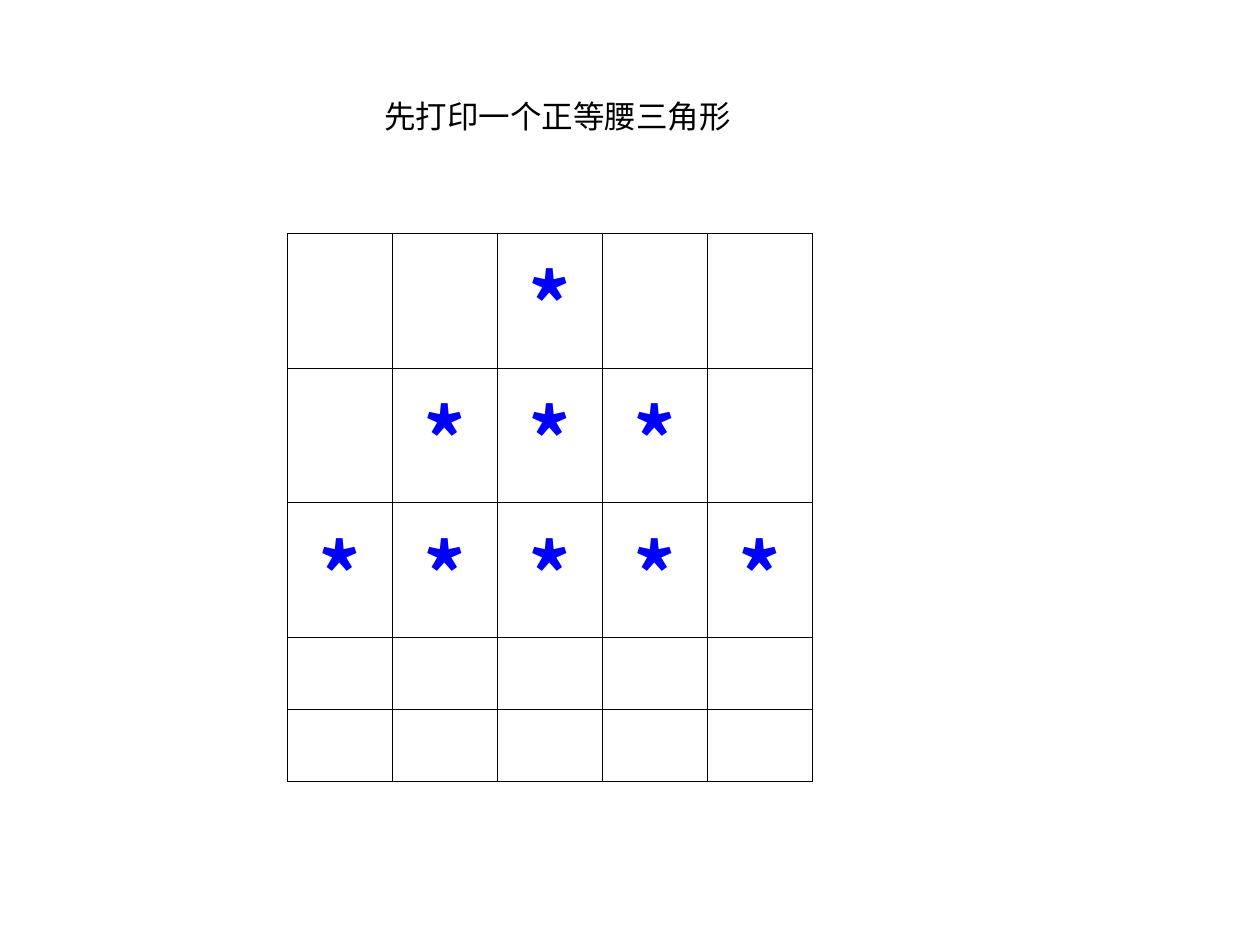
import pptx
import pptx.dml.color
import pptx.enum.text
import pptx.oxml
import pptx.oxml.ns
import pptx.util

COLORS = {"ink": "000000", "star": "0000FF", "rule": "080000"}
CJK = "Noto Sans CJK SC"
WIDE, HIGH = 10, 7.5
COLS = 5
STARS, BLANKS = 3, 2
ROWS = [1.07] * STARS + [0.57] * BLANKS
RULE = 0.45
ALIGN = pptx.enum.text.PP_ALIGN


def inch(size):
    return pptx.util.Inches(size)


def write(frame, text, size=18, color="ink", face="Arial", bold=False, align=ALIGN.LEFT):
    para = frame.paragraphs[0]
    para.alignment = align
    run = para.add_run()
    run.text = text
    font = run.font
    font.name, font.size, font.bold = face, pptx.util.Pt(size), bold
    font.color.rgb = pptx.dml.color.RGBColor.from_string(COLORS[color])
    east = pptx.oxml.parse_xml(
        f'<a:ea {pptx.oxml.ns.nsdecls("a")} typeface="{CJK}"/>')
    font._element.find(pptx.oxml.ns.qn("a:latin")).addnext(east)


def add_title(slide, text):
    title = slide.shapes.title
    title.left, title.top = inch(2.95), inch(0.72)
    title.width, title.height = inch(3), inch(0.4)
    frame = title.text_frame
    frame.word_wrap = False
    frame.auto_size = pptx.enum.text.MSO_AUTO_SIZE.NONE
    frame.vertical_anchor = pptx.enum.text.MSO_ANCHOR.TOP
    write(frame, text)


def rule_cell(cell):
    """Clear the fill and draw a thin line on all four sides."""
    cell.fill.background()
    props = cell._tc.get_or_add_tcPr()
    for at, side in enumerate(("lnL", "lnR", "lnT", "lnB")):
        props.insert(at, pptx.oxml.parse_xml(
            f'<a:{side} {pptx.oxml.ns.nsdecls("a")} w="{pptx.util.Pt(RULE)}">'
            f'<a:solidFill><a:srgbClr val="{COLORS["rule"]}"/></a:solidFill>'
            f'</a:{side}>'))


def add_grid(slide):
    """Draw the table, with a triangle of stars in its upper rows."""
    frame = slide.shapes.add_table(
        len(ROWS), COLS, inch(2.28), inch(1.85), inch(4.17), inch(sum(ROWS)))
    table = frame.table
    table.first_row = table.horz_banding = False
    mid = COLS // 2
    for row, high in enumerate(ROWS):
        table.rows[row].height = inch(high)
        for col in range(COLS):
            cell = table.cell(row, col)
            rule_cell(cell)
            if row < STARS and abs(col - mid) <= row:
                write(cell.text_frame, "*", size=48, color="star", face=CJK,
                      bold=True, align=ALIGN.CENTER)


def main():
    deck = pptx.Presentation()
    deck.slide_width, deck.slide_height = inch(WIDE), inch(HIGH)
    slide = deck.slides.add_slide(deck.slide_layouts[5])
    add_grid(slide)
    add_title(slide, "先打印一个正等腰三角形")
    deck.save("out.pptx")


if __name__ == "__main__":
    main()
